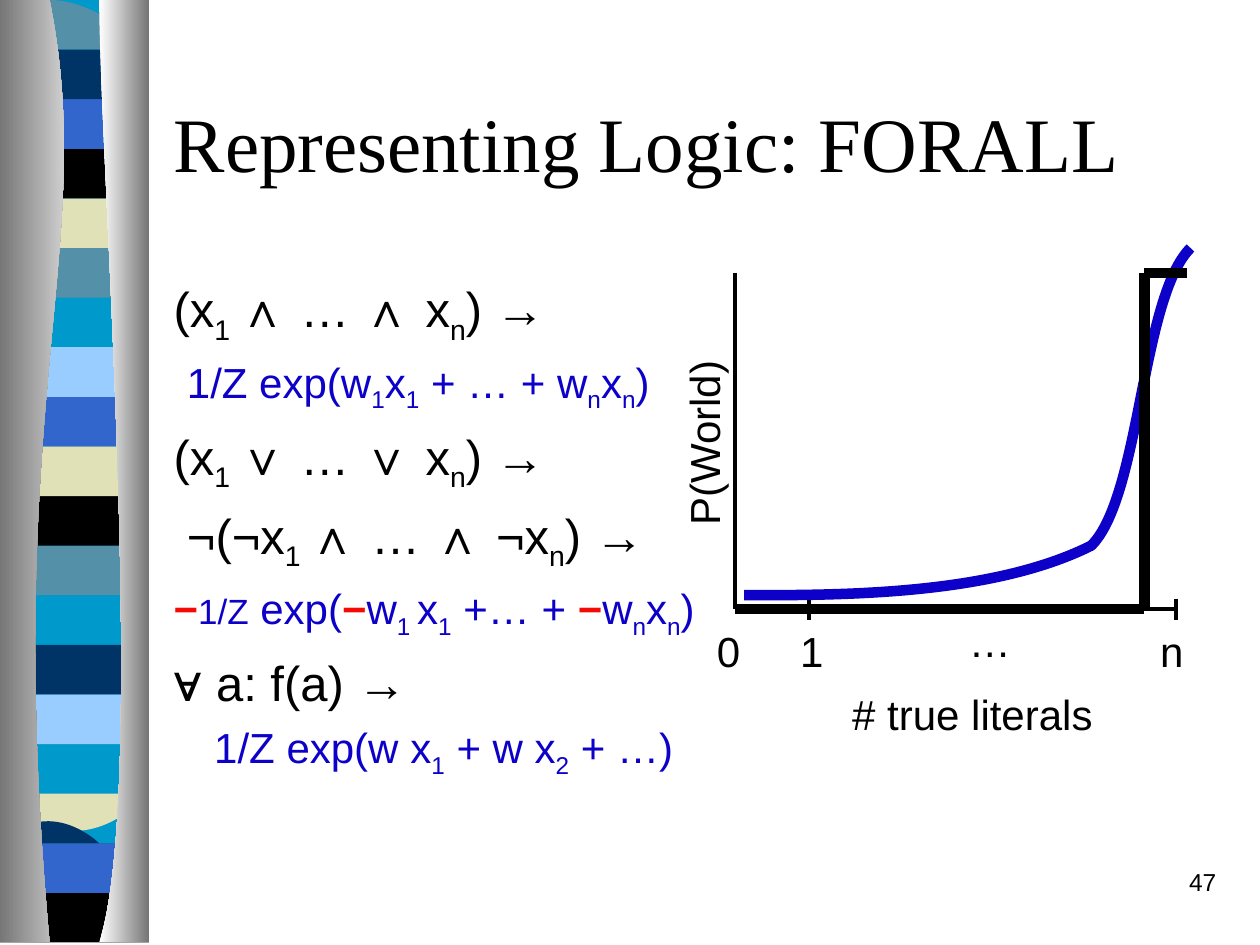
from lxml.etree import SubElement
from pptx import Presentation
from pptx.dml.color import RGBColor as RGB
from pptx.enum.shapes import MSO_CONNECTOR as Link
from pptx.enum.text import MSO_ANCHOR as Anchor, PP_ALIGN as Align
from pptx.oxml.ns import qn
from pptx.util import Cm, Pt

INK = {
    "black": "000000", "blue": "0C00C9", "red": "F40A05",
    "sky": "0099CC", "teal": "5490A8", "sand": "E1E1B7", "royal": "3366CC",
    "navy": "003366", "ice": "99CCFF", "gray": "767676", "white": "FFFFFF",
}

# A piece of text that starts with one of these signs takes the format.
MARKS = {
    "_": {"base": -25000},
    "!": {"ink": "red", "bold": True},
    "*": {"bold": True},
    "~": {"size": 20},
}

# Outlines in cm: a pair is a line to a point, six numbers are a curve.
L, R = 0.15, 2.9
DIP = (1.83, 0.13, 2.31, 0, R, 0)
WAVES = {
    "swell": [(R, 0), (R, 1.2), (0.99, 0.99, 0.61, 1.4, L, 1.2), (L, 0)],
    "roll": [(R, 0), (R, 1.2), (2.44, 1.4, 0.99, 1.05, L, 1.2), (L, 0)],
    "thin": [(R, 0.13), (R, 0.74), (2.44, 0.84, 0.61, 0.84, L, 0.74),
             (L, 0.13), (0.3, 0, 0.74, 0.03, 1.19, 0.03),
             (1.65, 0.03, 2.54, 0.1, R, 0.13)],
    "bowl": [(R, 0), (R, 0.82), (2.44, 0.97, 0.61, 0.97, L, 0.82),
             (L, 0), DIP],
    "foot": [(R, 0), (R, 0.94), (L, 0.94), (L, 0), DIP],
    "arch": [(R, 0), (R, 1.2), (2.46, 1.04, 2.29, 1.04, 1.83, 1.04),
             (1.37, 1.04, 0.56, 1.2, L, 1.2), (L, 0)],
    "flag": [(R, 0.13), (R, 0.91), (2.72, 1.04, 2.29, 0.91, 1.83, 0.91),
             (1.37, 0.91, 0.43, 1.04, L, 0.91), (L, 0.13),
             (0.53, 0, 2, 0.13, 2.46, 0.13)],
}
BANDS = [
    ("swell", 4.7, "teal"), ("roll", 3.58, "sand"), ("thin", 0.41, "teal"),
    ("bowl", 2.74, "black"), ("arch", 1.88, "royal"), ("flag", 1.04, "navy"),
    ("swell", 10.95, "teal"), ("roll", 9.8, "black"), ("thin", 6.65, "navy"),
    ("bowl", 8.97, "sand"), ("arch", 8.13, "royal"), ("flag", 7.26, "ice"),
    ("swell", 13.82, "ice"), ("roll", 12.67, "navy"), ("thin", 15.75, "sand"),
    ("foot", 18.08, "black"), ("arch", 17.25, "royal"), ("flag", 16.38, "navy"),
]
BASE = [(R, 0), (R, 18.97), (L, 18.97), (L, 0)]
LEFT = [(0.91, 0), (1.8, 5.49, 0.43, 7.52, 0.89, 19.02), (0.03, 19.02), (0, 0)]
RIGHT = [(2.24, 0), (2.13, 3.18, 2.82, 16.41, 2.13, 19.02),
         (2.95, 19.02), (2.95, 0)]

BLUE = {"size": 24, "ink": "blue", "before": 6}
RULES = [
    ("(x|_1 |∧ … ∧ x|_n|) →", {}),
    ("1/Z exp(w|_1|x|_1| + … + w|_n|x|_n|)", {**BLUE, "gap": 0.27}),
    ("(x|_1 |∨ … ∨ x|_n|) →", {}),
    ("¬(¬x|_1 |∧ … ∧ ¬x|_n|) →", {"gap": 0.27}),
    ("!−|~1/Z| exp(|!−|w|_1 |x|_1| +… + |!−|w|_n|x|_n|)", BLUE),
    ("*∀| a: f(a) →", {}),
    ("1/Z exp(w x|_1| + w x|_2| + …)", {**BLUE, "gap": 0.82}),
]


def write(para, text, size=28, ink="black", font="Arial", bold=False,
          align=Align.LEFT, before=0, hang=0, gap=0):
    """Fill a paragraph; bars split the text into pieces, see MARKS."""
    para.alignment, para.space_before = align, Pt(before)
    if hang:
        props = para._p.get_or_add_pPr()
        props.set("marL", str(Cm(hang)))
        props.set("indent", str(Cm(gap - hang)))
    for piece in text.split("|"):
        look = {"size": size, "ink": ink, "bold": bold, "base": 0}
        if piece[0] in MARKS:
            look.update(MARKS[piece[0]])
            piece = piece[1:]
        run = para.add_run()
        run.text = piece
        run.font.name, run.font.size = font, Pt(look["size"])
        run.font.bold = look["bold"]
        run.font.color.rgb = RGB.from_string(INK[look["ink"]])
        if look["base"]:
            run._r.get_or_add_rPr().set("baseline", str(look["base"]))


class Pen:
    def __init__(self, slide):
        self.slide, self.shapes = slide, slide.shapes

    def title(self, text, box):
        shape = self.shapes.title
        shape.left, shape.top, shape.width, shape.height = map(Cm, box)
        shape.text_frame.vertical_anchor = Anchor.MIDDLE
        write(shape.text_frame.paragraphs[0], text, size=44,
              font="Times New Roman")

    def text(self, lines, box, wrap=True, turn=0, **look):
        shape = self.shapes.add_textbox(*map(Cm, box))
        shape.rotation = turn
        frame = shape.text_frame
        frame.word_wrap = wrap
        for i, (line, own) in enumerate(lines):
            para = frame.add_paragraph() if i else frame.paragraphs[0]
            write(para, line, **{**look, **own})

    def label(self, text, x, y, wide=0.97, turn=0):
        self.text([(text, {})], (x, y, wide, 1.27), wrap=False, turn=turn, size=24)

    def line(self, x1, y1, x2, y2, width=2.25):
        link = self.shapes.add_connector(Link.STRAIGHT, *map(Cm, (x1, y1, x2, y2)))
        link.line.width = Pt(width)
        link.line.color.rgb = RGB.from_string(INK["black"])
        SubElement(link._element.spPr, qn("a:effectLst"))

    def outline(self, steps, top=0, close=True):
        """Build straight legs, then bend each three of a curve into one."""
        pts = [(step[i], step[i + 1] + top)
               for step in steps for i in range(0, len(step), 2)]
        form = self.shapes.build_freeform(*pts[0], scale=Cm(1))
        form.add_line_segments(pts[1:], close=close)
        shape = form.convert_to_shape()
        shape.shadow.inherit = False
        way = next(shape._element.iter(qn("a:path")))
        legs = iter(way.findall(qn("a:lnTo")))
        for step in steps[1:]:
            trio = [next(legs) for _ in range(len(step) // 2)]
            if len(trio) == 3:
                bend = SubElement(way, qn("a:cubicBezTo"))
                trio[0].addprevious(bend)
                for leg in trio:
                    bend.append(leg[0])
                    way.remove(leg)
        return shape

    def area(self, steps, *inks, top=0):
        """Fill an outline with one colour, or fade from left to right."""
        shape = self.outline(steps, top)
        shape.line.fill.background()
        if len(inks) == 1:
            shape.fill.solid()
            shape.fill.fore_color.rgb = RGB.from_string(INK[inks[0]])
            return
        shape.fill.gradient()
        shape.fill.gradient_angle = 0
        for stop, ink in zip(shape.fill.gradient_stops, inks):
            stop.color.rgb = RGB.from_string(INK[ink])

    def curve(self, steps, ink, width):
        shape = self.outline(steps, close=False)
        shape.fill.background()
        shape.line.width = Pt(width)
        shape.line.color.rgb = RGB.from_string(INK[ink])


def border(pen):
    pen.area(BASE, "sky")
    for wave, top, ink in BANDS:
        pen.area(WAVES[wave], ink, top=top)
    pen.area(LEFT, "gray", "white")
    pen.area(RIGHT, "white", "gray")


def graph(pen):
    x0, xn, top, base, step = 14.82, 23.71, 5.5, 12.28, 23.07
    pen.line(x0, top, x0, base)
    pen.line(x0, base, xn, base)
    for x in (16.3, xn):
        pen.line(x, base - 0.21, x, base + 0.21)
    for text, x in (("0", 14.2), ("1", 15.88), ("n", 23.14)):
        pen.label(text, x, 12.49)
    pen.label("…", 19.28, 12.28, 1.35)
    pen.label("P(World)", 12.26, 8.29, 3.84, turn=270)
    pen.label("# true literals", 16.93, 13.76, 5.36)
    pen.curve([(x0, base), (17.45, 12.24, 20.12, 12.19, 21.59, 11.02),
               (23.06, 9.86, 23.47, 6.32, xn, 5.29)], "blue", 6)
    pen.line(x0, base, step, base, 6)
    pen.line(step, base, step, top, 6)
    pen.line(step, top, 23.92, top, 6)


def main():
    deck = Presentation()
    deck.slide_width, deck.slide_height = Cm(25.4), Cm(19.05)
    pen = Pen(deck.slides.add_slide(deck.slide_layouts[5]))
    border(pen)
    pen.title("Representing Logic: FORALL", (3.25, 1.27, 21.59, 3.18))
    pen.text(RULES, (3.25, 5.5, 12.4, 11.43), before=7, hang=0.95)
    graph(pen)
    pen.text([("47", {})], (19.48, 17.35, 5.29, 1.27), size=14,
             align=Align.RIGHT, before=8.8)
    deck.save("out.pptx")


if __name__ == "__main__":
    main()
